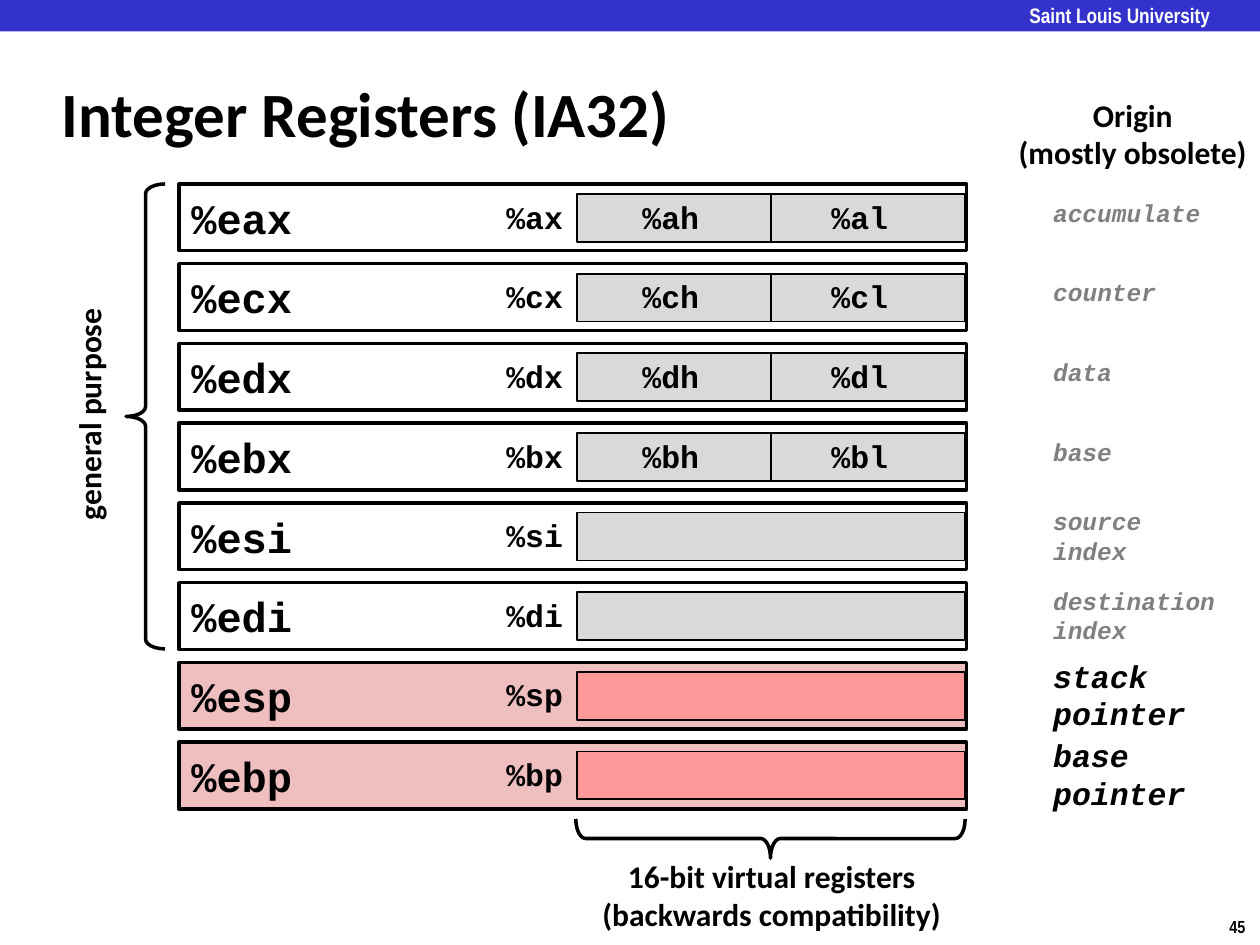
import pptx
import pptx.util
import pptx.dml.color
import pptx.enum.shapes
import pptx.enum.text
import pptx.oxml

COLUMNS, ROWS = 100, 75
CELL = pptx.util.Inches(10) // COLUMNS
SHAPES = pptx.enum.shapes.MSO_SHAPE
LEFT = pptx.enum.text.PP_ALIGN.LEFT
CENTER = pptx.enum.text.PP_ALIGN.CENTER
MIDDLE = pptx.enum.text.MSO_ANCHOR.MIDDLE
BLACK, WHITE, GRAY = "000000", "FFFFFF", "808080"
HEADING, CODE, NARROW = "Calibri", "Courier New", "Arial Narrow"

FIRST_ROW, ROW_PITCH = 14.6, 6.33
FIRST_FIELD, FIELD_PITCH = 15.4, 6.32
FIELD_LEFT, FIELD_WIDTH, FIELD_HEIGHT = 45.8, 30.8, 3.8

REGISTERS = [
    ("ax", "accumulate"),
    ("cx", "counter"),
    ("dx", "data"),
    ("bx", "base"),
    ("si", "source\nindex"),
    ("di", "destination\nindex"),
    ("sp", "stack\npointer"),
    ("bp", "base\npointer"),
]
SPLIT_COUNT, GENERAL_COUNT = 4, 6


def grid(*cells):
    return [round(cell * CELL) for cell in cells]


def color(code):
    return pptx.dml.color.RGBColor.from_string(code)


def write(box, text, size, font, ink=BLACK, align=LEFT, italic=False):
    box.text_frame.text = text
    for para in box.text_frame.paragraphs:
        para.alignment = align
        for span in para.runs:
            span.font.name = font
            span.font.size = pptx.util.Pt(size)
            span.font.bold = True
            span.font.italic = italic
            span.font.color.rgb = color(ink)


def add_label(page, place, text, size, font, wrap=False, **style):
    box = page.shapes.add_textbox(*grid(*place))
    write(box, text, size, font, **style)
    box.text_frame.word_wrap = wrap
    if not wrap:
        box.text_frame.auto_size = pptx.enum.text.MSO_AUTO_SIZE.SHAPE_TO_FIT_TEXT
    return box


def add_block(page, place, fill=None, line=0, kind=SHAPES.RECTANGLE):
    block = page.shapes.add_shape(kind, *grid(*place))
    block.shadow.inherit = False
    if fill:
        block.fill.solid()
        block.fill.fore_color.rgb = color(fill)
    else:
        block.fill.background()
    if line:
        block.line.color.rgb = color(BLACK)
        block.line.width = pptx.util.Pt(line)
    else:
        block.line.fill.background()
    return block


def add_divider(page, column, top, bottom):
    divider = page.shapes.add_connector(
        pptx.enum.shapes.MSO_CONNECTOR.STRAIGHT, *grid(column, top, column, bottom))
    divider.line.color.rgb = color(BLACK)
    divider.line.width = pptx.util.Pt(1)
    properties = divider._element.spPr
    properties.append(properties.makeelement(pptx.oxml.ns.qn("a:effectLst"), {}))


def add_brace(page, place, rotation):
    brace = add_block(page, place, line=2, kind=SHAPES.RIGHT_BRACE)
    brace.adjustments[0] = 0.25
    brace.rotation = rotation


def add_origin(page, field, origin, general):
    lines = origin.split("\n")
    if general:
        size, ink, height = 14, GRAY, 1.1 + 2.3 * len(lines)
        rise = 1 if len(lines) > 1 else 0.2
    else:
        size, ink, height, rise = 18, BLACK, 7.1, 1.7
    width = 2.3 + max(map(len, lines)) * size / 12
    add_label(page, (82.6, field - rise, width, height), origin, size, CODE,
              ink=ink, italic=True)


def add_register(page, index, name, origin):
    general = index < GENERAL_COUNT
    row = FIRST_ROW + index * ROW_PITCH
    field = FIRST_FIELD + index * FIELD_PITCH

    register = add_block(page, (14.2, row, 62.5, 5.3), WHITE if general else "EFBFBF", 2)
    write(register, "%e" + name, 24, CODE)
    register.text_frame.word_wrap = True
    register.text_frame.vertical_anchor = MIDDLE

    add_block(page, (FIELD_LEFT, field, FIELD_WIDTH, FIELD_HEIGHT),
              "D9D9D9" if general else "FF9999", 1)
    names = [(39.2, name)]
    if index < SPLIT_COUNT:
        add_divider(page, FIELD_LEFT + FIELD_WIDTH / 2, field, field + FIELD_HEIGHT)
        names += [(50, name[0] + "h"), (65, name[0] + "l")]
    for column, part in names:
        add_label(page, (column, field - 0.2, 6.5, 4), "%" + part, 18, CODE)
    add_origin(page, field, origin, general)


def main():
    deck = pptx.Presentation()
    deck.slide_width, deck.slide_height = COLUMNS * CELL, ROWS * CELL
    page = deck.slides.add_slide(deck.slide_layouts[6])

    add_label(page, (96.6, 72.2, 3.4, 2.7), "45", 10, NARROW)
    add_block(page, (0, 0, COLUMNS, 2.5), "3333CC")
    banner = add_label(page, (81.7, 0.2, 16.7, 1.9), "Saint Louis University", 12,
                       NARROW, wrap=True, ink=WHITE)
    frame = banner.text_frame
    frame.margin_left = frame.margin_right = frame.margin_top = frame.margin_bottom = 0
    title = add_label(page, (3.9, 4.8, 83, 8.3), "Integer Registers (IA32)", 36,
                      HEADING, wrap=True)
    title.text_frame.vertical_anchor = MIDDLE

    for index, (name, origin) in enumerate(REGISTERS):
        add_register(page, index, name, origin)

    add_brace(page, (59.6, 51.1, 3.1, 30.9), 90)
    add_label(page, (46.7, 67.5, 29.1, 7.1),
              "16-bit virtual registers\n(backwards compatibility)", 18, HEADING, align=CENTER)
    add_brace(page, (10, FIRST_ROW, 3.1, 36.9), 180)
    purpose = add_label(page, (-2.4, 30.8, 18.9, 4), "general purpose", 18, HEADING)
    purpose.rotation = 270
    add_label(page, (79.8, 7.1, 20.2, 7.1), "Origin\n(mostly obsolete)", 18, HEADING,
              align=CENTER)

    deck.save("out.pptx")


if __name__ == "__main__":
    main()
